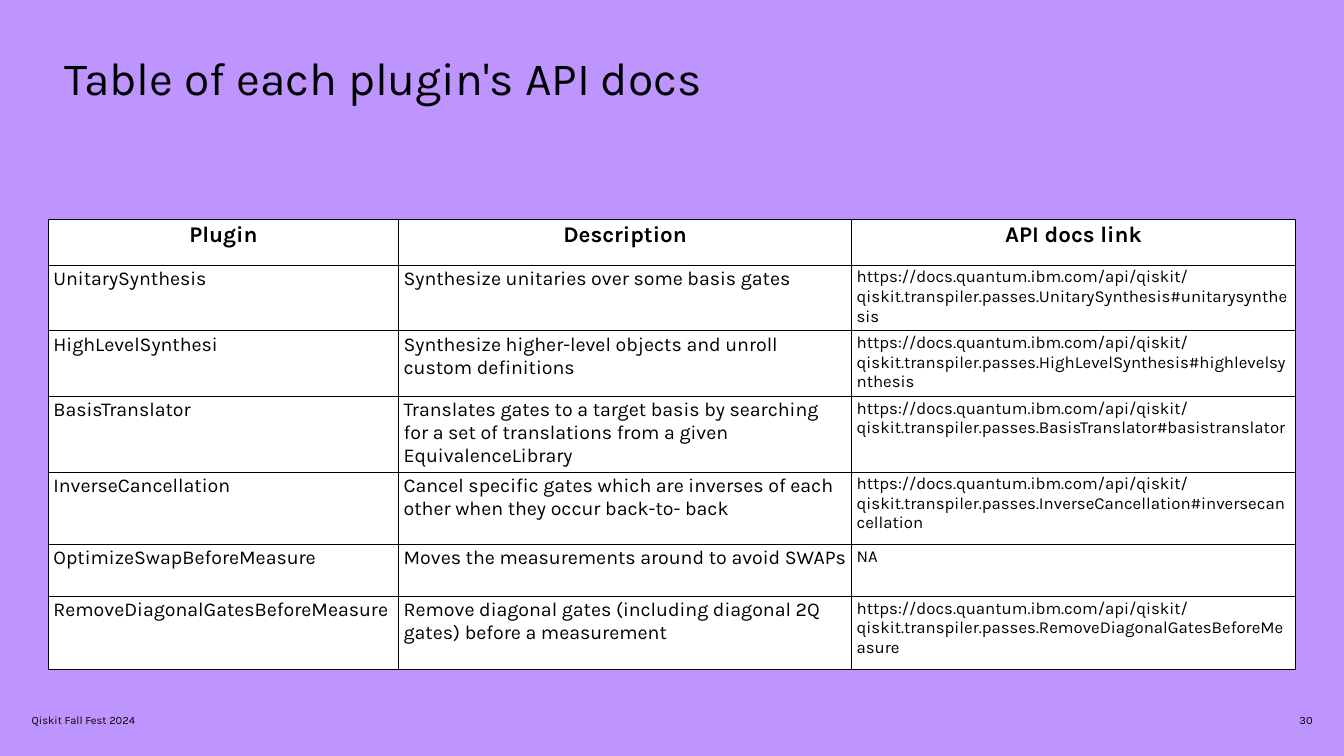
import pptx
import pptx.util
import pptx.dml.color
import pptx.enum.text
import pptx.oxml
import pptx.oxml.ns

PX = 9144  # EMU per px, 100 px to the inch
FONT = "Karla"
COLORS = {"back": "BE95FF", "cell": "FFFFFF", "ink": "000000"}
ALIGN = pptx.enum.text.PP_ALIGN
ANCHOR = pptx.enum.text.MSO_ANCHOR

COLS = [695, 899, 881]
ROWS = [90, 102, 99, 144, 144, 103, 144]
HEADS = ["Plugin", "Description", "API docs link"]
SIZES = [28, 28, 24]
BASE = "https://docs.quantum.ibm.com/api/qiskit/qiskit.transpiler.passes."
PLUGINS = [
    ("UnitarySynthesis", "Synthesize unitaries over some basis gates",
     BASE + "UnitarySynthesis#unitarysynthesis"),
    ("HighLevelSynthesi",
     "Synthesize higher-level objects and unroll custom definitions",
     BASE + "HighLevelSynthesis#highlevelsynthesis"),
    ("BasisTranslator",
     "Translates gates to a target basis by searching for a set of "
     "translations from a given EquivalenceLibrary",
     BASE + "BasisTranslator#basistranslator"),
    ("InverseCancellation",
     "Cancel specific gates which are inverses of each other when they "
     "occur back-to- back",
     BASE + "InverseCancellation#inversecancellation"),
    ("OptimizeSwapBeforeMeasure",
     "Moves the measurements around to avoid SWAPs", "NA"),
    ("RemoveDiagonalGatesBeforeMeasure",
     "Remove diagonal gates (including diagonal 2Q gates) before a "
     "measurement",
     BASE + "RemoveDiagonalGatesBeforeMeasure"),
]


def color(name):
    return pptx.dml.color.RGBColor.from_string(COLORS[name])


def write(frame, text, size, align=ALIGN.LEFT, bold=False):
    para = frame.paragraphs[0]
    para.text = text
    para.alignment = align
    font = para.font
    font.name, font.size, font.bold = FONT, pptx.util.Pt(size), bold
    font.color.rgb = color("ink")


def add_text(slide, box, text, size, align=ALIGN.LEFT, anchor=ANCHOR.TOP,
             wrap=True):
    frame = slide.shapes.add_textbox(*[n * PX for n in box]).text_frame
    frame.margin_left = frame.margin_right = 0
    frame.margin_top = frame.margin_bottom = 0
    frame.word_wrap = wrap
    frame.vertical_anchor = anchor
    write(frame, text, size, align)


def set_border(cell):
    props = cell._tc.get_or_add_tcPr()
    for index, side in enumerate(("lnL", "lnR", "lnT", "lnB")):
        props.insert(index, pptx.oxml.parse_xml(
            f'<a:{side} {pptx.oxml.ns.nsdecls("a")} w="12700"><a:solidFill>'
            f'<a:srgbClr val="{COLORS["ink"]}"/></a:solidFill></a:{side}>'))


def add_grid(slide, left, top):
    table = slide.shapes.add_table(
        len(ROWS), len(COLS), left * PX, top * PX,
        sum(COLS) * PX, sum(ROWS) * PX).table
    for col, width in zip(table.columns, COLS):
        col.width = width * PX
    for row, height in zip(table.rows, ROWS):
        row.height = height * PX
    for r, texts in enumerate([HEADS] + PLUGINS):
        for c, text in enumerate(texts):
            cell = table.cell(r, c)
            cell.fill.solid()
            cell.fill.fore_color.rgb = color("cell")
            set_border(cell)
            if r == 0:
                write(cell.text_frame, text, 32, ALIGN.CENTER, True)
            else:
                write(cell.text_frame, text, SIZES[c])


def add_footer(slide, left, top, width):
    add_text(slide, (left, top, 542, 42), "Qiskit Fall Fest 2024", 16,
             anchor=ANCHOR.BOTTOM)
    add_text(slide, (left + width - 30, top + 15, 30, 27), "30", 16,
             ALIGN.RIGHT, ANCHOR.MIDDLE, False)


def main():
    deck = pptx.Presentation()
    deck.slide_width, deck.slide_height = 2667 * PX, 1500 * PX
    slide = deck.slides.add_slide(deck.slide_layouts[6])
    slide.background.fill.solid()
    slide.background.fill.fore_color.rgb = color("back")
    # Footer, title, table
    add_footer(slide, 63, 1400, 2542)
    add_text(slide, (129, 98, 1810, 213), "Table of each plugin's API docs", 66)
    add_grid(slide, 96, 436)
    deck.save("out.pptx")


if __name__ == "__main__":
    main()
